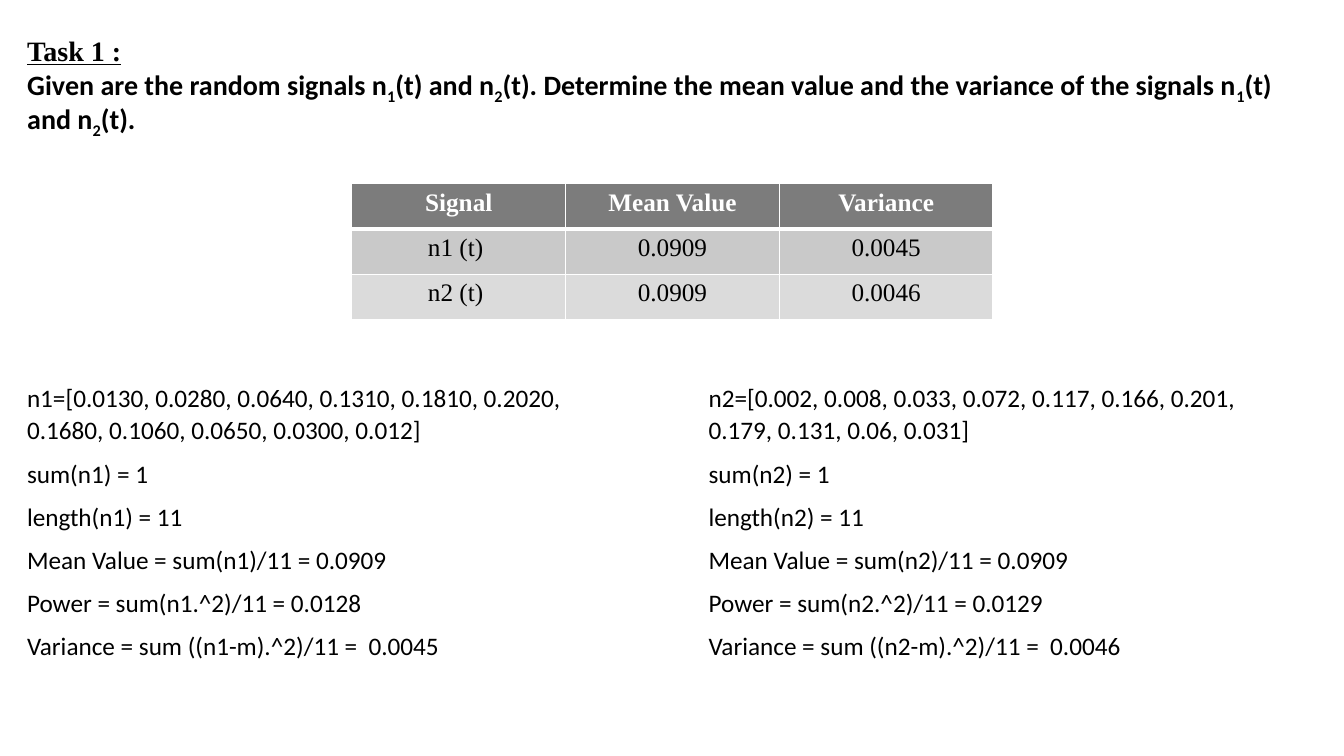
import pptx
import pptx.util
import pptx.dml.color
import pptx.enum.text
import pptx.oxml
import pptx.oxml.ns

Inches = pptx.util.Inches
Pt = pptx.util.Pt
ALIGN = pptx.enum.text.PP_ALIGN


def color(hex_value):
    return pptx.dml.color.RGBColor.from_string(hex_value)


def add_run(p, text, size, font, hex_value="000000", bold=False):
    r = p.add_run()
    r.text = text
    r.font.size = Pt(size)
    r.font.name = font
    r.font.bold = bold
    r.font.color.rgb = color(hex_value)
    return r


prs = pptx.Presentation()
prs.slide_width = Inches(13.33)
prs.slide_height = Inches(7.5)
s = prs.slides.add_slide(prs.slide_layouts[5])

title = s.shapes.title
title.left, title.top = Inches(0.17), Inches(0.32)
title.width, title.height = Inches(12.96), Inches(1.36)
tf = title.text_frame
tf.word_wrap = True
tf.auto_size = pptx.enum.text.MSO_AUTO_SIZE.NONE
tf.vertical_anchor = pptx.enum.text.MSO_ANCHOR.TOP
p = tf.paragraphs[0]
p.alignment = ALIGN.LEFT
p.line_spacing = 0.9
add_run(p, "Task 1 :", 20, "Times New Roman", bold=True).font.underline = True
p.add_line_break()
question = [
    "Given are the random signals n", "1", "(t) and n", "2",
    "(t). Determine the mean value and the variance of the signals n", "1",
    "(t) and n", "2", "(t).",
]
for i, text in enumerate(question):
    r = add_run(p, text, 20, "Calibri", bold=True)
    if i % 2:
        r.font._element.set("baseline", "-25000")

rows = [
    ("Signal", "Mean Value", "Variance"),
    ("n1 (t) ", "0.0909", "0.0045"),
    ("n2 (t) ", "0.0909", "0.0046"),
]
row_fills = ["7C7C7C", "C9C9C9", "DBDBDB"]
table = s.shapes.add_table(
    3, 3, Inches(3.49), Inches(1.82), Inches(6.36), Inches(1.36)
).table
for column in table.columns:
    column.width = Inches(2.12)
for i, values in enumerate(rows):
    table.rows[i].height = Inches(0.45)
    for j, text in enumerate(values):
        cell = table.cell(i, j)
        tcPr = cell._tc.get_or_add_tcPr()
        for side in "LRTB":
            thick = (i, side) in [(0, "B"), (1, "T")]
            tcPr.append(pptx.oxml.parse_xml(
                f'<a:ln{side} {pptx.oxml.ns.nsdecls("a")} w="{Pt(3 if thick else 1)}">'
                f'<a:solidFill><a:srgbClr val="FFFFFF"/></a:solidFill></a:ln{side}>'
            ))
        cell.fill.solid()
        cell.fill.fore_color.rgb = color(row_fills[i])
        p = cell.text_frame.paragraphs[0]
        p.alignment = ALIGN.CENTER
        header = i == 0
        add_run(p, text, 18, "Times New Roman", "FFFFFF" if header else "000000", header)

signals = [
    (0.17, 6.2, "n1", "0.0130, 0.0280, 0.0640, 0.1310, 0.1810, 0.2020, "
     "0.1680, 0.1060, 0.0650, 0.0300, 0.012", "0.0128", "0.0045"),
    (6.93, 5.84, "n2", "0.002, 0.008, 0.033, 0.072, 0.117, 0.166, 0.201, "
     "0.179, 0.131, 0.06, 0.031", "0.0129", "0.0046"),
]
for left, width, name, samples, power, variance in signals:
    lines = [
        f"{name}=[{samples}]",
        f"sum({name}) = 1",
        f"length({name}) = 11",
        f"Mean Value = sum({name})/11 = 0.0909",
        f"Power = sum({name}.^2)/11 = {power}",
        f"Variance = sum (({name}-m).^2)/11 =  {variance}",
    ]
    tf = s.shapes.add_textbox(
        Inches(left), Inches(3.73), Inches(width), Inches(2.9)
    ).text_frame
    tf.word_wrap = True
    for i, text in enumerate(lines):
        p = tf.add_paragraph() if i else tf.paragraphs[0]
        p.line_spacing = 1.06
        p.space_after = Pt(8)
        add_run(p, text, 18, "Calibri")

prs.save("out.pptx")
